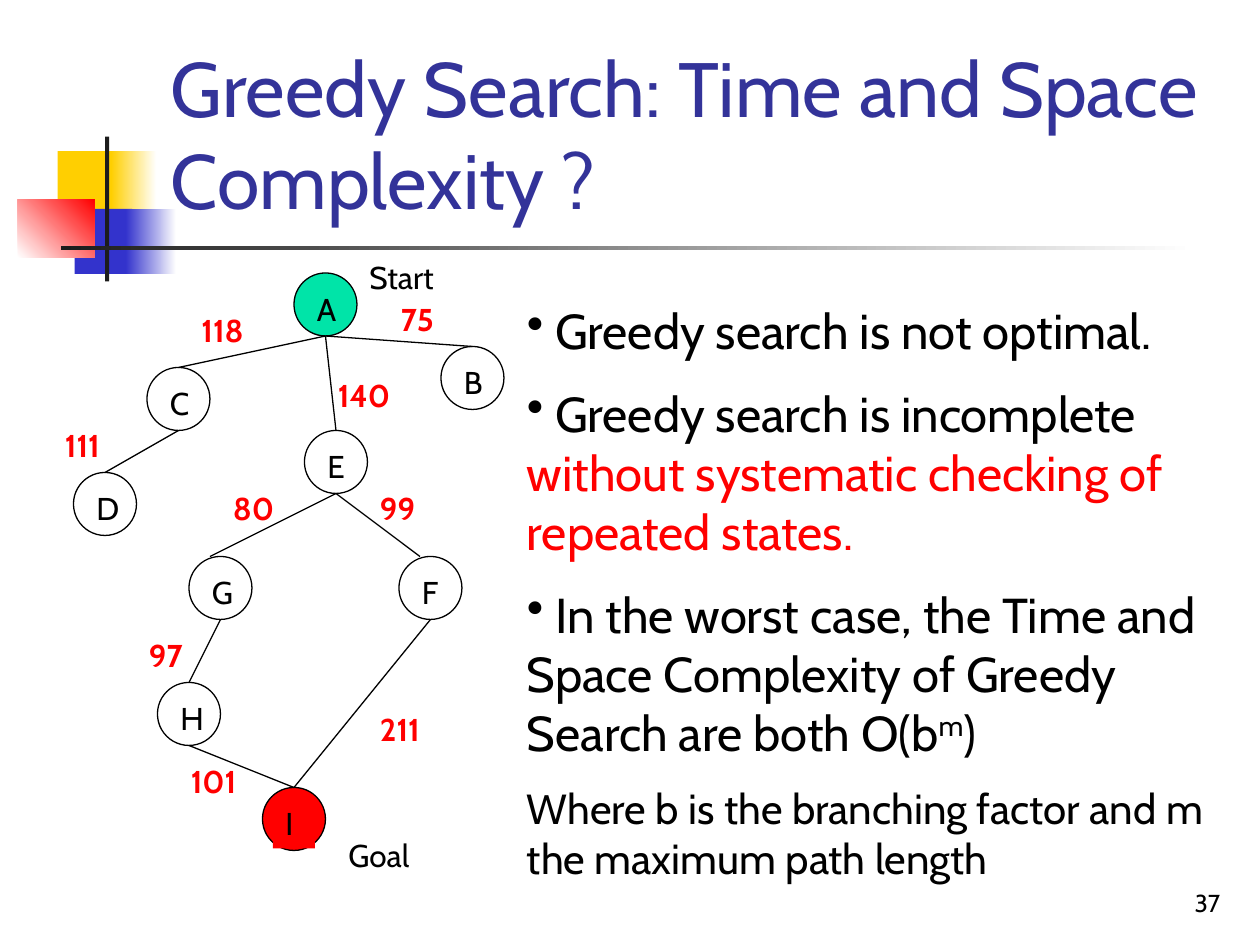
from lxml.etree import SubElement
from pptx import Presentation
from pptx.dml.color import RGBColor
from pptx.enum.shapes import MSO_CONNECTOR, MSO_SHAPE
from pptx.enum.text import MSO_ANCHOR, PP_ALIGN
from pptx.oxml.ns import qn
from pptx.util import Emu, Pt

BLACK = RGBColor(0x00, 0x00, 0x00)
WHITE = RGBColor(0xFF, 0xFF, 0xFF)
RED = RGBColor(0xFF, 0x00, 0x00)
GREEN = RGBColor(0x00, 0xE4, 0xA8)
GOLD = RGBColor(0xFF, 0xCF, 0x01)
BLUE = RGBColor(0x33, 0x33, 0xCC)
NAVY = RGBColor(0x33, 0x33, 0x99)
DARK = RGBColor(0x1C, 0x1C, 0x1C)

FONT = "Cabin"
SCALE = 7620
SIZE = 60

DECOR = [
    ((55, 144, 58, 62), GOLD, None, 0),
    ((106, 144, 43, 62), GOLD, WHITE, 0),
    ((71, 199, 55, 62), BLUE, None, 0),
    ((120, 199, 48, 62), BLUE, WHITE, 0),
    ((17, 190, 73, 55), WHITE, RED, 45),
    ((100, 130, 4, 138), DARK, None, 0),
    ((58, 234, 1080, 4), DARK, WHITE, 0),
]
NODES = {
    "A": (280, 260), "B": (420, 330), "C": (140, 350),
    "D": (70, 450), "E": (290, 410), "F": (380, 530),
    "G": (180, 530), "H": (150, 650), "I": (250, 750),
}
FILLS = {"A": GREEN, "I": RED}
EDGES = [
    ("A", "B", 0), ("A", "C", 0), ("A", "E", 0),
    ("C", "D", 0), ("E", "G", -10), ("E", "F", -10),
    ("G", "H", 0), ("H", "I", 0), ("F", "I", 0),
]
COSTS = [
    ("75", 370, 280, 80), ("118", 180, 290, 100), ("140", 310, 352, 100),
    ("111", 50, 400, 100), ("80", 210, 460, 80), ("99", 350, 460, 80),
    ("97", 130, 600, 80), ("101", 170, 720, 110), ("211", 350, 670, 100),
]
ENDS = [("Start", 340, 240, 160), ("Goal", 320, 790, 160)]
POINTS = [
    (0, 28, True, [(" Greedy search is not optimal.", BLACK, 0)]),
    (14, 28, True, [
        (" Greedy search is incomplete ", BLACK, 0),
        ("without systematic checking of repeated states.", RED, 0),
    ]),
    (14, 28, True, [
        (" In the worst case, the Time and Space Complexity of Greedy "
         "Search are both O(b", BLACK, 0),
        ("m", BLACK, 30000),
        (")", BLACK, 0),
    ]),
    (12, 24, False, [
        ("Where b is the branching factor and m the maximum path length",
         BLACK, 0),
    ]),
]


def px(*nums):
    """Turn pixel lengths into EMU."""
    return [Emu(num * SCALE) for num in nums]


def style(run, size, color, bold=False):
    """Set the font of a run."""
    font = run.font
    font.name, font.size, font.bold = FONT, Pt(size), bold
    font.color.rgb = color


def add_block(shapes, box, first, last, angle):
    """Add a plain or graded rectangle."""
    block = shapes.add_shape(MSO_SHAPE.RECTANGLE, *px(*box))
    block.shadow.inherit = False
    block.line.fill.background()
    if last is None:
        block.fill.solid()
        block.fill.fore_color.rgb = first
    else:
        block.fill.gradient()
        block.fill.gradient_angle = angle
        for stop, color in zip(block.fill.gradient_stops, (first, last)):
            stop.color.rgb = color


def add_text(shapes, text, box, size=18, color=BLACK, bold=False):
    """Add a wrapped text box with one style."""
    label = shapes.add_textbox(*px(*box))
    frame = label.text_frame
    frame.word_wrap = True
    frame.text = text
    for run in frame.paragraphs[0].runs:
        style(run, size, color, bold)
    return label


def add_node(shapes, name, left, top):
    """Add a circle grouped with its letter."""
    group = shapes.add_group_shape().shapes
    circle = group.add_shape(MSO_SHAPE.OVAL, *px(left, top, SIZE, SIZE))
    circle.shadow.inherit = False
    circle.line.color.rgb = BLACK
    circle.line.width = Pt(0.75)
    label = add_text(group, name, (left + 10, top + 10, 40, 48))
    if name in FILLS:
        circle.fill.solid()
        circle.fill.fore_color.rgb = FILLS[name]
    else:
        circle.fill.background()
    if name == "I":
        label.fill.solid()
        label.fill.fore_color.rgb = RED


def add_edge(shapes, upper, lower, shift):
    """Join the foot of one node to the top of another."""
    (left, top), (right, base) = NODES[upper], NODES[lower]
    half = SIZE // 2
    ends = px(left + half, top + SIZE, right + half + shift, base)
    edge = shapes.add_connector(MSO_CONNECTOR.STRAIGHT, *ends)
    edge.line.color.rgb = BLACK
    edge.line.width = Pt(0.75)
    SubElement(edge._element.spPr, qn("a:effectLst"))


def add_points(shapes, box):
    """Add the bulleted remarks beside the tree."""
    frame = shapes.add_textbox(*px(*box)).text_frame
    frame.word_wrap = True
    for index, (space, size, mark, parts) in enumerate(POINTS):
        para = frame.add_paragraph() if index else frame.paragraphs[0]
        para.space_before = Pt(space)
        if mark:
            props = para._p.get_or_add_pPr()
            SubElement(props, qn("a:buChar")).set("char", "•")
        for text, color, base in parts:
            run = para.add_run()
            run.text = text
            style(run, size, color)
            if base:
                run.font._element.set("baseline", str(base))


def main():
    """Build and save the slide."""
    deck = Presentation()
    deck.slide_width, deck.slide_height = px(1200, 900)
    shapes = deck.slides.add_slide(deck.slide_layouts[6]).shapes
    for item in DECOR:
        add_block(shapes, *item)
    title = add_text(shapes, "Greedy Search: Time and Space Complexity ?",
                     (151, 28, 1022, 192), 44, NAVY)
    page = add_text(shapes, "37", (924, 820, 250, 60), 14)
    for label in (title, page):
        label.text_frame.vertical_anchor = MSO_ANCHOR.BOTTOM
    page.text_frame.paragraphs[0].alignment = PP_ALIGN.RIGHT
    for name, spot in NODES.items():
        add_node(shapes, name, *spot)
    for edge in EDGES:
        add_edge(shapes, *edge)
    for text, left, top, width in COSTS:
        add_text(shapes, text, (left, top, width, 48), 18, RED, True)
    for text, left, top, width in ENDS:
        add_text(shapes, text, (left, top, width, 48))
    add_points(shapes, (490, 280, 680, 581))
    deck.save("out.pptx")


if __name__ == "__main__":
    main()
